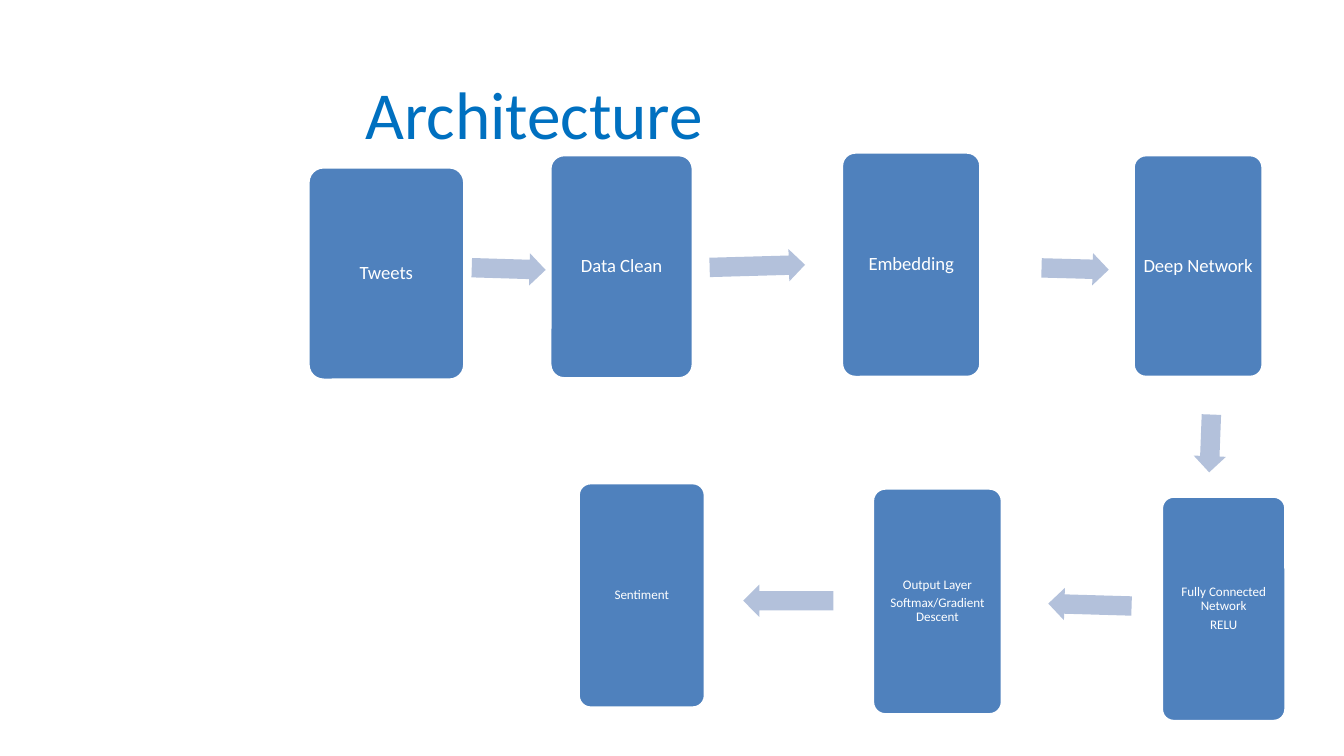
from dataclasses import dataclass

from pptx import Presentation
from pptx.dml.color import RGBColor as RGB
from pptx.enum.shapes import MSO_SHAPE as Shape
from pptx.enum.text import MSO_ANCHOR as Anchor, PP_ALIGN as Align
from pptx.util import Inches, Pt


@dataclass(frozen=True)
class Theme:
    font: str = "Calibri"
    heading: RGB = RGB(0x00, 0x70, 0xC0)
    stage: RGB = RGB(0x4F, 0x81, 0xBD)
    arrow: RGB = RGB(0xB3, 0xC1, 0xDB)
    white: RGB = RGB(0xFF, 0xFF, 0xFF)
    heading_size: int = 36
    upper_size: int = 10
    lower_size: int = 7


theme = Theme()
deck = Presentation()
deck.slide_width = Inches(10)
deck.slide_height = deck.slide_width * 9 // 16
slide = deck.slides.add_slide(deck.slide_layouts[6])

# Square grid: one hundred cells across the slide
cell = deck.slide_width / 100


def grid(*cells):
    return [round(n * cell) for n in cells]


def write(frame, lines, size, color, align):
    frame.word_wrap = True
    frame.vertical_anchor = Anchor.MIDDLE
    for index, line in enumerate(lines):
        para = frame.paragraphs[0] if index == 0 else frame.add_paragraph()
        para.text = line
        para.alignment = align
        para.font.name = theme.font
        para.font.size = Pt(size)
        para.font.color.rgb = color


# Heading
heading = slide.shapes.add_textbox(*grid(26.2, 4.4, 68.7, 7.9))
write(heading.text_frame, ["Architecture"], theme.heading_size, theme.heading, Align.LEFT)

# Stages in reading order: left, top, width, height, type size, lines
upper, lower = theme.upper_size, theme.lower_size
stages = [
    (22.9, 12.4, 11.7, 15.9, upper, ["Tweets"]),
    (40.9, 11.5, 10.7, 16.7, upper, ["Data Clean"]),
    (62.6, 11.3, 10.4, 16.8, upper, ["Embedding"]),
    (84.3, 11.5, 9.7, 16.6, upper, ["Deep Network"]),
    (86.4, 36.9, 9.3, 16.8, lower, ["Fully Connected Network", "RELU"]),
    (64.9, 36.3, 9.7, 16.9, lower, ["Output Layer", "Softmax/Gradient Descent"]),
    (43.0, 35.9, 9.5, 16.8, lower, ["Sentiment"]),
]
for left, top, width, height, size, lines in stages:
    stage = slide.shapes.add_shape(Shape.ROUNDED_RECTANGLE, *grid(left, top, width, height))
    stage.adjustments[0] = 0.1
    stage.shadow.inherit = False
    stage.fill.solid()
    stage.fill.fore_color.rgb = theme.stage
    stage.line.color.rgb = theme.white
    stage.line.width = Pt(2)
    label = stage.text_frame
    label.margin_left = label.margin_right = Inches(0.03)
    label.margin_top = label.margin_bottom = Inches(0.03)
    write(label, lines, size, theme.white, Align.CENTER)
    for para in label.paragraphs:
        para.line_spacing = 0.9
        para.space_after = Pt(0.35 * size)

# Arrows between successive stages: left, top, length, rotation
arrow_thickness = 2.4
arrows = [
    (35.1, 18.8, 5.5, 1.7),
    (52.8, 18.6, 7.1, 358.4),
    (77.5, 18.8, 5.0, 1.5),
    (87.9, 31.8, 4.3, 92.2),
    (78.0, 43.8, 6.2, 181.7),
    (55.3, 43.5, 6.7, 180.1),
]
for left, top, length, rotation in arrows:
    arrow = slide.shapes.add_shape(Shape.RIGHT_ARROW, *grid(left, top, length, arrow_thickness))
    arrow.adjustments[0], arrow.adjustments[1] = 0.6, 0.5
    arrow.rotation = rotation
    arrow.shadow.inherit = False
    arrow.fill.solid()
    arrow.fill.fore_color.rgb = theme.arrow
    arrow.line.fill.background()

deck.save("out.pptx")
